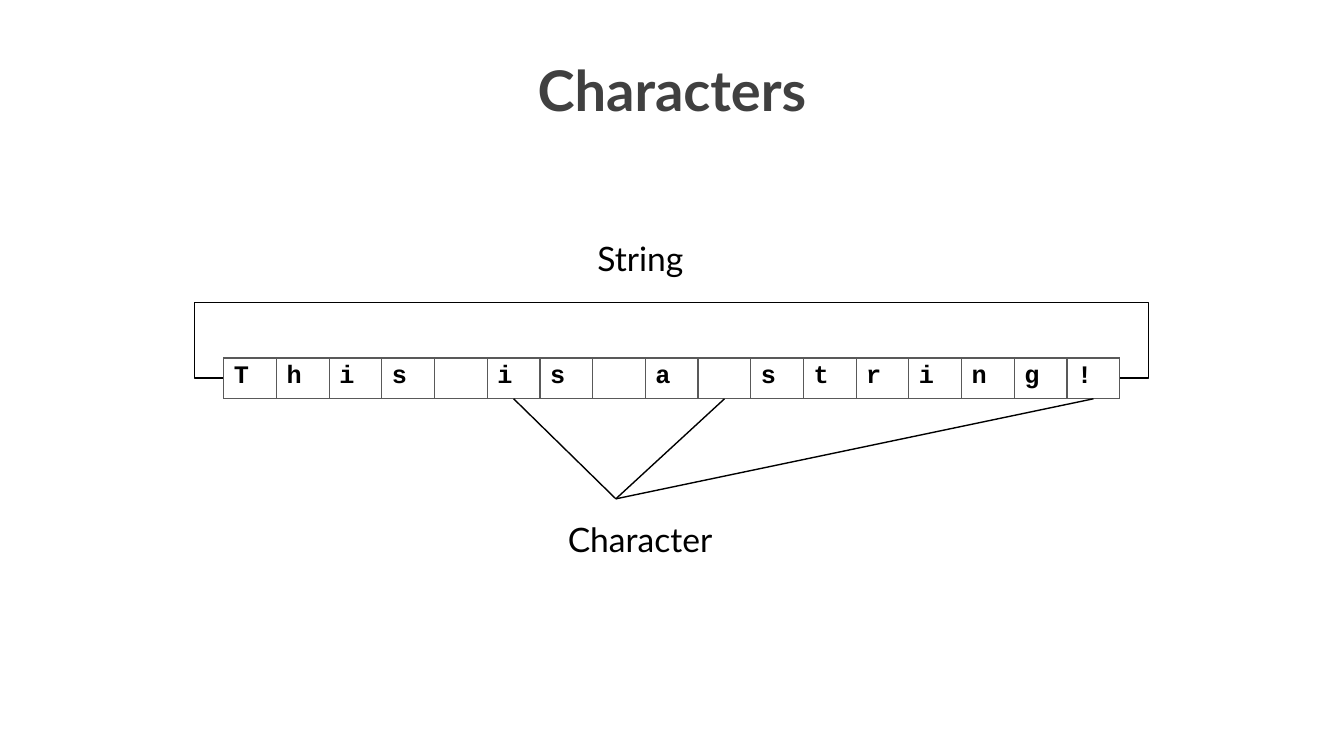
import pptx
import pptx.util
import pptx.dml.color
import pptx.enum.shapes
import pptx.enum.text
import pptx.oxml
import pptx.oxml.ns
from dataclasses import dataclass

Cm, Pt = pptx.util.Cm, pptx.util.Pt

# Content
TITLE = "Characters"
PHRASE = "This is a string!"
LABELS = [  # text, left, top, width, height in cm
    ("String", 14.45, 5.99, 3.38, 1.85),
    ("Character", 12.93, 13.06, 6.4, 1.85),
]
MARKED = [5, 9, 16]  # cells that the lines point at

# Layout in cm
SIZE = (33.87, 19.05)
HEAD = (0, 1.47, 33.87, 2.29)
FRAME = (4.9, 7.62, 24.05, 1.91)
STRIP = (5.64, 9.02, 22.58, 1.03)
TIP = (15.52, 12.57)


@dataclass(frozen=True)
class Theme:
    sans: str = "Lato"
    mono: str = "Courier New"
    ink: str = "000000"
    head: str = "404040"
    grid: str = "595959"
    paper: str = "FFFFFF"
    title: int = 40
    label: int = 24
    code: int = 18
    line: int = 1


LOOK = Theme()


def color(hex):
    return pptx.dml.color.RGBColor.from_string(hex)


def place(box):
    return [Cm(n) for n in box]


def write(frame, text, font, size, ink, bold=False):
    """Add one run to the first paragraph and return that paragraph."""
    para = frame.paragraphs[0]
    run = para.add_run()
    run.text = text
    run.font.name, run.font.size, run.font.bold = font, Pt(size), bold
    run.font.color.rgb = color(ink)
    return para


def center(frame, *style):
    """Write a centred line at the top of a frame."""
    frame.word_wrap = True
    frame.auto_size = pptx.enum.text.MSO_AUTO_SIZE.NONE
    frame.vertical_anchor = pptx.enum.text.MSO_ANCHOR.TOP
    para = write(frame, *style)
    para.alignment = pptx.enum.text.PP_ALIGN.CENTER
    para.line_spacing = 0.9
    para.space_before = Pt(0)


def border(cell):
    props = cell._tc.get_or_add_tcPr()
    for side in ("lnL", "lnR", "lnT", "lnB"):
        props.append(pptx.oxml.parse_xml(
            f'<a:{side} {pptx.oxml.ns.nsdecls("a")} w="{Pt(LOOK.line)}">'
            f'<a:solidFill><a:srgbClr val="{LOOK.grid}"/></a:solidFill>'
            f'</a:{side}>'))


def main():
    deck = pptx.Presentation()
    deck.slide_width, deck.slide_height = place(SIZE)
    slide = deck.slides.add_slide(deck.slide_layouts[5])
    shapes = slide.shapes

    # Title
    title = shapes.title
    title.left, title.top, title.width, title.height = place(HEAD)
    center(title.text_frame, TITLE, LOOK.sans, LOOK.title, LOOK.head, True)

    # Frame around the string
    frame = shapes.add_shape(
        pptx.enum.shapes.MSO_SHAPE.RECTANGLE, *place(FRAME))
    frame.shadow.inherit = False
    frame.fill.background()
    frame.line.color.rgb = color(LOOK.ink)
    frame.line.width = Pt(LOOK.line)

    # Labels
    for text, *box in LABELS:
        label = shapes.add_textbox(*place(box))
        center(label.text_frame, text, LOOK.sans, LOOK.label, LOOK.ink)

    # One table cell per character
    left, top, width, height = STRIP
    step = width / len(PHRASE)
    table = shapes.add_table(1, len(PHRASE), *place(STRIP)).table
    table.first_row = table.horz_banding = False
    for col, char in enumerate(PHRASE):
        table.columns[col].width = Cm(step)
        cell = table.cell(0, col)
        border(cell)
        cell.fill.solid()
        cell.fill.fore_color.rgb = color(LOOK.paper)
        if char != " ":
            write(cell.text_frame, char, LOOK.mono, LOOK.code, LOOK.ink, True)

    # Lines from the marked cells to the label
    for col in MARKED:
        start = (left + (col + 0.5) * step, top + height)
        line = shapes.add_connector(
            pptx.enum.shapes.MSO_CONNECTOR.STRAIGHT,
            *place(start + TIP))
        line.line.color.rgb = color(LOOK.ink)
        line.line.width = Pt(LOOK.line)
        line._element.spPr.append(pptx.oxml.parse_xml(
            f'<a:effectLst {pptx.oxml.ns.nsdecls("a")}/>'))

    deck.save("out.pptx")


if __name__ == "__main__":
    main()
